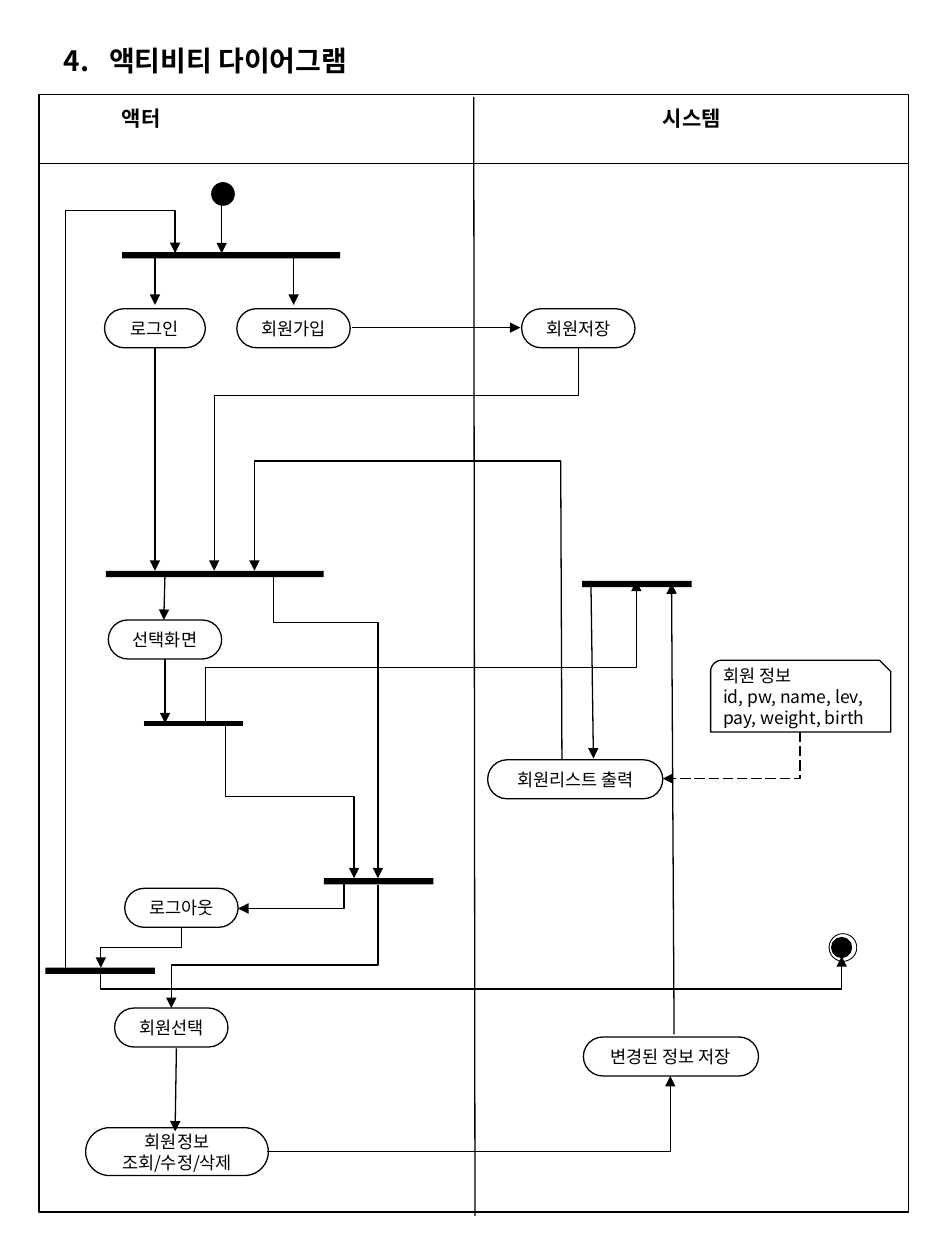
import math
import pptx
import pptx.util
import pptx.dml.color
import pptx.enum.dml
import pptx.enum.shapes
import pptx.enum.text
import pptx.oxml.ns
from lxml import etree

PX = 9144  # 100 px to the inch
FONT = "Noto Sans CJK KR"
COLORS = {"ink": "000000", "paper": "FFFFFF"}
SHAPE = pptx.enum.shapes.MSO_SHAPE
ALIGN = pptx.enum.text.PP_ALIGN
ANCHOR = pptx.enum.text.MSO_ANCHOR


def rgb(name):
    return pptx.dml.color.RGBColor.from_string(COLORS[name])


def sub(parent, tag, **attrs):
    return etree.SubElement(parent, pptx.oxml.ns.qn(tag), attrs)


def write(sp, lines, size, bold=False, align=ALIGN.LEFT, anchor=ANCHOR.TOP, wrap=True):
    tf = sp.text_frame
    tf.word_wrap = wrap
    tf.vertical_anchor = anchor
    tf.text = "\n".join(lines)
    for p in tf.paragraphs:
        p.alignment = align
        for r in p.runs:
            r.font.size = pptx.util.Pt(size)
            r.font.bold = bold
            r.font.name = FONT
            r.font.color.rgb = rgb("ink")
            sub(r.font._element, "a:ea", typeface=FONT)
    return tf


def label(s, x, y, w, h, text, size, **style):
    sp = s.shapes.add_textbox(x * PX, y * PX, w * PX, h * PX)
    return write(sp, [text], size, bold=True, **style)


def paint(sp, filled, width):
    sp.shadow.inherit = False
    if filled:
        sp.fill.solid()
        sp.fill.fore_color.rgb = rgb("ink")
    else:
        sp.fill.background()
    if width:
        sp.line.color.rgb = rgb("ink")
        sp.line.width = pptx.util.Pt(width)
    else:
        sp.line.fill.background()


def shape(s, kind, x, y, w, h, filled=False, width=0.75):
    sp = s.shapes.add_shape(kind, x * PX, y * PX, w * PX, h * PX)
    paint(sp, filled, width)
    return sp


def node(s, x, y, w, h, text):
    sp = shape(s, SHAPE.ROUNDED_RECTANGLE, x, y, w, h)
    sp.adjustments[0] = 0.5
    write(sp, [text], 10, align=ALIGN.CENTER, anchor=ANCHOR.MIDDLE)


def bar(s, x, y, w):
    shape(s, SHAPE.RECTANGLE, x, y, w, 5, filled=True, width=0)


def bend(c, points):
    """Turn an elbow connector so that it follows the corner points."""
    (x0, y0), corner, (x1, y1) = points[0], points[1], points[-1]
    dx, dy = x1 - x0, y1 - y0
    geom = c._element.spPr.find(pptx.oxml.ns.qn("a:prstGeom"))
    geom.set("prst", f"bentConnector{len(points) - 1}")
    xfrm = c._element.spPr.find(pptx.oxml.ns.qn("a:xfrm"))
    vertical = corner[0] == x0
    if vertical:
        xfrm.set("rot", "5400000")
        w, h = abs(dy), abs(dx)
        flips = dy < 0, dx > 0
        ratio = (corner[1] - y0) / dy
    else:
        w, h = abs(dx), abs(dy)
        flips = dx < 0, dy < 0
        ratio = (corner[0] - x0) / dx
    c.left, c.top = round((x0 + x1 - w) * PX / 2), round((y0 + y1 - h) * PX / 2)
    c.width, c.height = w * PX, h * PX
    for key, flip in zip(("flipH", "flipV"), flips):
        xfrm.set(key, str(int(flip)))
    if len(points) == 4:
        guides = geom.find(pptx.oxml.ns.qn("a:avLst"))
        if guides is None:
            guides = sub(geom, "a:avLst")
        sub(guides, "a:gd", name="adj1", fmla=f"val {round(ratio * 100000)}")


def flow(s, box, *points, arrow=True, dashed=False, width=0.75):
    points = [(box[0] + x, box[1] + y) for x, y in points]
    kinds = pptx.enum.shapes.MSO_CONNECTOR
    kind = kinds.STRAIGHT if len(points) == 2 else kinds.ELBOW
    c = s.shapes.add_connector(kind, *(v * PX for v in points[0] + points[-1]))
    if len(points) > 2:
        bend(c, points)
    c.line.color.rgb = rgb("ink")
    c.line.width = pptx.util.Pt(width)
    if dashed:
        c.line.dash_style = pptx.enum.dml.MSO_LINE.LONG_DASH
    if arrow:
        sub(c.line._get_or_add_ln(), "a:tailEnd", type="triangle")
    sub(c._element.spPr, "a:effectLst")


def note(s, x, y, w, h, lines):
    # Rounded left corner, cut right corner
    r = 9
    arc = [(r - r * math.cos(a), r - r * math.sin(a))
           for a in (math.pi / 2 * i / 6 for i in range(7))]
    outline = arc + [(w - r, 0), (w, r), (w, h), (0, h)]
    points = [(round((x + px) * PX), round((y + py) * PX)) for px, py in outline]
    fb = s.shapes.build_freeform(*points[0], scale=1.0)
    fb.add_line_segments(points[1:], close=True)
    sp = fb.convert_to_shape()
    paint(sp, False, 0.75)
    write(sp, lines, 10, anchor=ANCHOR.MIDDLE)


def title(s, box):
    tf = label(s, *box, "4.\t액티비티 다이어그램", 16, wrap=False)
    p = tf.paragraphs[0]
    p.line_spacing = pptx.util.Pt(18)
    pPr = p._p.get_or_add_pPr()
    pPr.set("marL", str(36 * PX))
    pPr.set("indent", str(-36 * PX))


def lanes(s, box):
    x, y, w, h = box
    shape(s, SHAPE.RECTANGLE, *box)
    flow(s, box, (1, 55), (w, 55), arrow=False)
    flow(s, box, (345, 2), (346, h + 3), arrow=False)
    label(s, x + 56, y + 4, 240, 30, "액터", 12)
    label(s, x + 398, y + 4, 240, 30, "시스템", 12, align=ALIGN.CENTER)


def actor_lane(s, box):
    x, y = box[:2]
    # Start and fork bars
    shape(s, SHAPE.OVAL, x + 138, y + 71, 16, 16, filled=True, width=2)
    for bx, by, bw in ((66, 125, 173), (53, 378, 173), (226, 622, 87), (5, 693, 87)):
        bar(s, x + bx, y + by, bw)
    flow(s, box, (83, 499), (162, 499), arrow=False, width=3)
    # Activities
    for nx, ny, w, h, text in (
            (52, 170, 80, 31, "로그인"), (157, 170, 90, 31, "회원가입"),
            (55, 417, 90, 31, "선택화면"), (68, 630, 90, 31, "로그아웃"),
            (60, 725, 90, 31, "회원선택"), (37, 820, 145, 38, "회원정보 조회/수정/삭제")):
        node(s, x + nx, y + ny, w, h, text)
    # Flows inside the lane
    for points in (
            ((145, 86), (145, 126)), ((92, 127), (92, 167)),
            ((202, 127), (202, 167)), ((92, 201), (92, 378)),
            ((100, 379), (99, 417)), ((100, 448), (100, 499)),
            ((109, 757), (108, 823)),
            ((21, 693), (21, 92), (108, 92), (108, 126)),
            ((148, 499), (148, 557), (250, 557), (250, 622)),
            ((186, 378), (186, 419), (269, 419), (269, 622)),
            ((242, 622), (242, 646), (158, 646)),
            ((113, 661), (113, 677), (49, 677), (49, 693)),
            ((269, 627), (269, 691), (105, 691), (105, 725))):
        flow(s, box, *points)


def system_lane(s, box):
    x, y = box[:2]
    bar(s, x + 86, y + 386, 87)
    # Activities and member note
    for nx, ny, w, text in ((38, 170, 90, "회원저장"), (11, 528, 139, "회원리스트 출력"),
                            (87, 748, 139, "변경된 정보 저장")):
        node(s, x + nx, y + ny, w, 31, text)
    note(s, x + 188, y + 449, 143, 57,
         ["회원 정보", "id, pw, name, lev, pay, weight, birth"])
    # End
    shape(s, SHAPE.OVAL, x + 282, y + 666, 22, 22, width=0.5)
    shape(s, SHAPE.OVAL, x + 285, y + 670, 14, 14, filled=True, width=2)
    # Flows inside the lane
    flow(s, box, (93, 386), (95, 527))
    flow(s, box, (159, 746), (157, 388))
    flow(s, box, (69, 291), (70, 528), arrow=False)
    flow(s, box, (259, 506), (259, 543), (150, 543), dashed=True)


def crossing_flows(s, box):
    for points in (
            ((248, 185), (382, 185)),
            ((428, 201), (428, 239), (139, 239), (139, 378)),
            ((414, 291), (171, 291), (171, 378)),
            ((132, 499), (132, 455), (474, 455), (474, 386)),
            ((49, 698), (49, 710), (637, 710), (637, 684)),
            ((181, 839), (501, 839), (501, 779))):
        flow(s, box, *points)


def main():
    prs = pptx.Presentation()
    prs.slide_width, prs.slide_height = 750 * PX, 1000 * PX
    s = prs.slides.add_slide(prs.slide_layouts[6])
    s.background.fill.solid()
    s.background.fill.fore_color.rgb = rgb("paper")
    diagram = (31, 75, 690, 887)
    title(s, (41, 31, 266, 35))
    lanes(s, diagram)
    actor_lane(s, (31, 75, 345, 887))
    system_lane(s, (376, 75, 345, 887))
    crossing_flows(s, diagram)
    prs.save("out.pptx")


if __name__ == "__main__":
    main()
